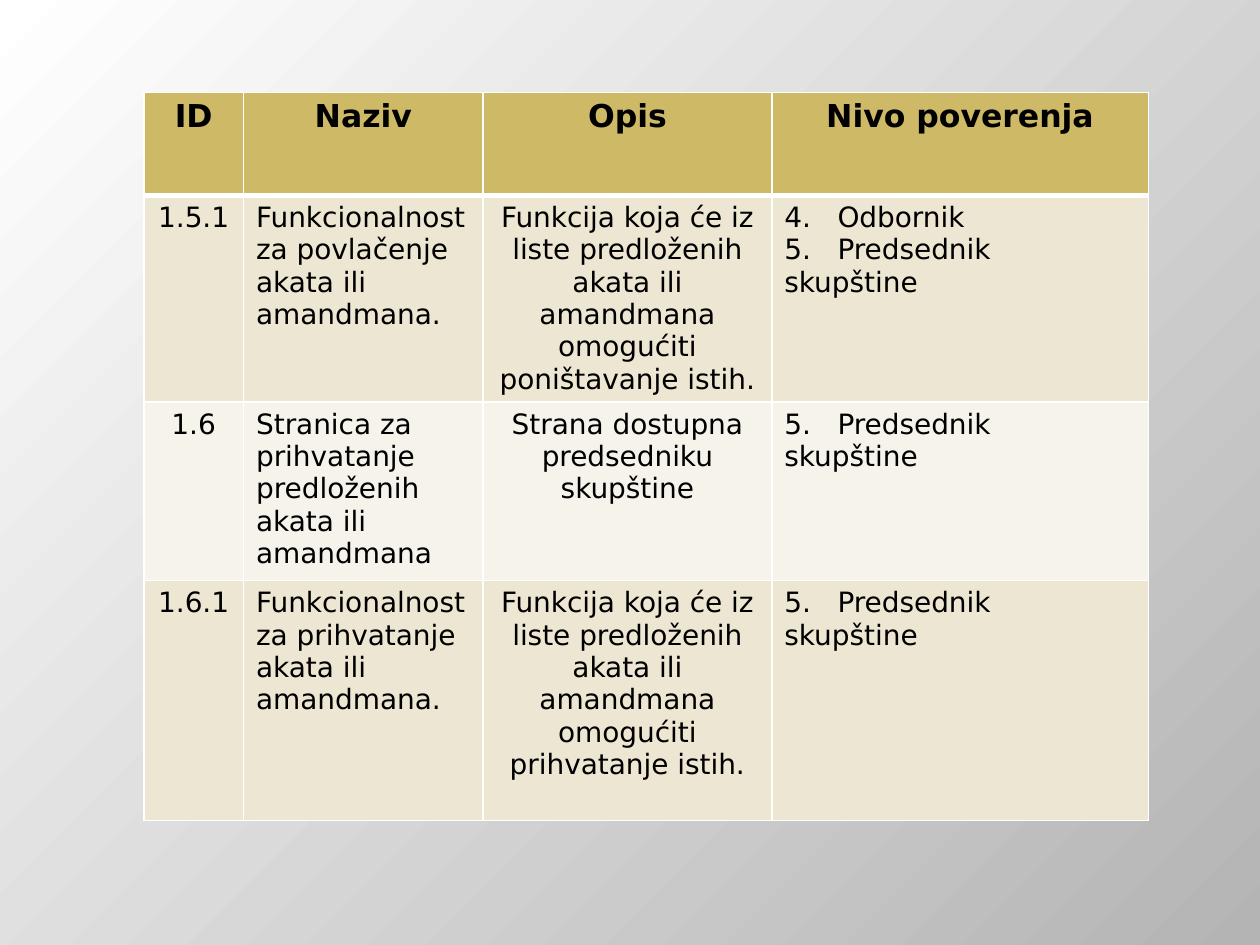
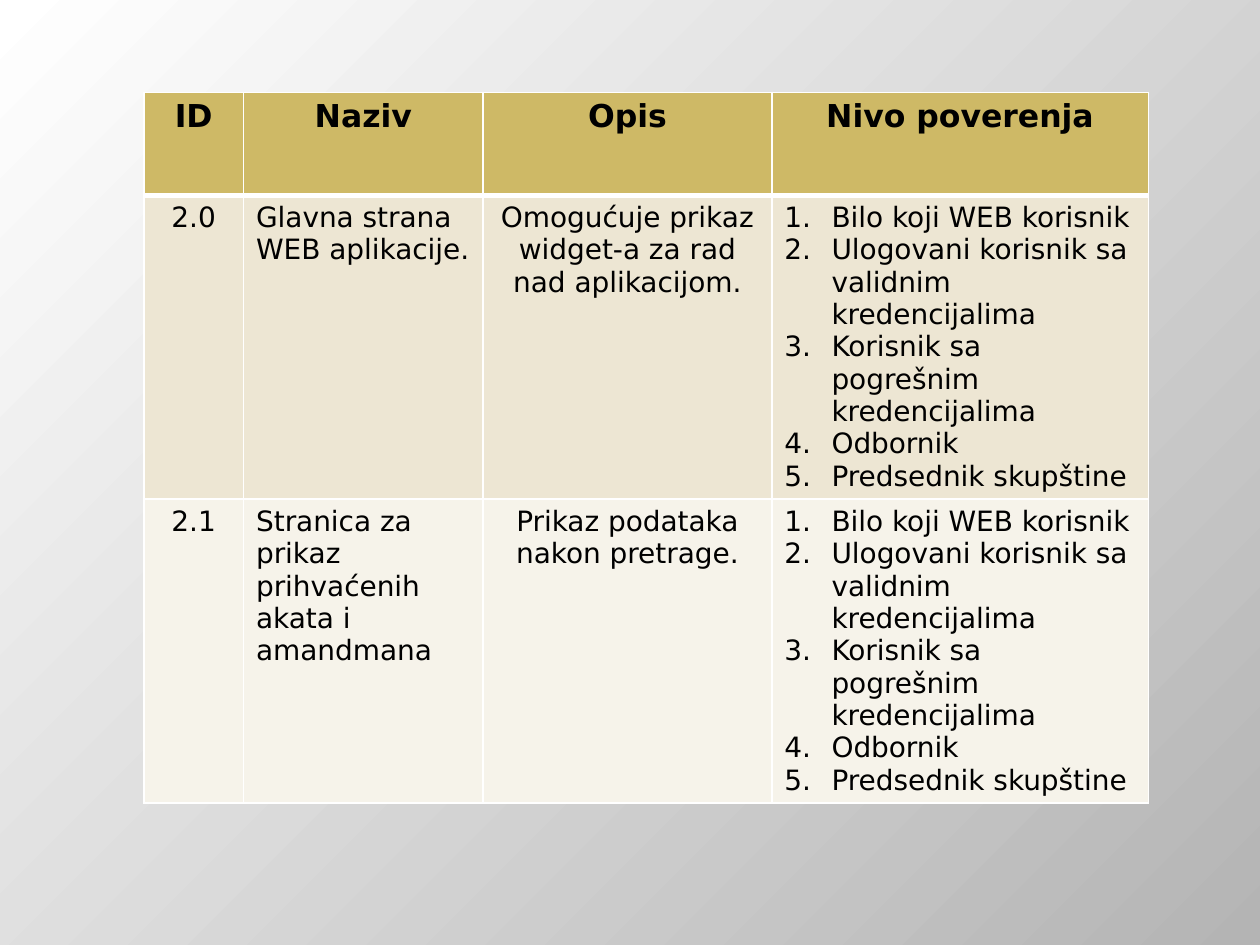
from dataclasses import dataclass

from lxml.etree import SubElement
from pptx import Presentation
from pptx.dml.color import RGBColor
from pptx.enum.text import PP_ALIGN
from pptx.oxml import parse_xml
from pptx.oxml.ns import nsdecls, qn
from pptx.util import Cm, Pt


@dataclass(frozen=True)
class Theme:
    font: str = "DejaVu Sans"
    header_size: int = 18
    body_size: int = 16
    text: str = "000000"
    header_fill: str = "CEB966"
    band_fills: tuple = ("EDE6D3", "F6F3EA")
    border: str = "FFFFFF"
    background: tuple = ("FFFFFF", "B4B4B4")


THEME = Theme()
HEADERS = ("ID", "Naziv", "Opis", "Nivo poverenja")
COLUMN_WIDTHS = (2.01, 4.83, 5.82, 7.59)
ALIGNMENTS = (PP_ALIGN.CENTER, PP_ALIGN.LEFT, PP_ALIGN.CENTER, PP_ALIGN.LEFT)
TABLE_LEFT, TABLE_TOP = 2.9, 1.86
HEADER_HEIGHT = 2.08
TRUST_COLUMN = 3
LIST_INDENT = Cm(0.95)
TAB_STOP = Cm(1.07)

PRESIDENT = "5.\tPredsednik\vskupštine"
ALL_USERS = "\n".join((
    "Bilo koji WEB korisnik",
    "Ulogovani korisnik sa validnim kredencijalima",
    "Korisnik sa pogrešnim kredencijalima",
    "Odbornik",
    "Predsednik skupštine",
))

# Each table: row heights in cm, then the body rows.
TABLES = (
    ((4.15, 3.6, 4.83), (
        ("1.5.1", "Funkcionalnost za povlačenje akata ili amandmana.",
         "Funkcija koja će iz liste predloženih akata ili amandmana "
         "omogućiti poništavanje istih.",
         "4.\tOdbornik\n" + PRESIDENT),
        ("1.6", "Stranica za prihvatanje predloženih akata ili amandmana",
         "Strana dostupna predsedniku skupštine", PRESIDENT),
        ("1.6.1", "Funkcionalnost za prihvatanje akata ili amandmana.",
         "Funkcija koja će iz liste predloženih akata ili amandmana "
         "omogućiti prihvatanje istih.", PRESIDENT),
    )),
    ((6.11, 6.12), (
        ("2.0", "Glavna strana WEB aplikacije.",
         "Omogućuje prikaz widget-a za rad nad aplikacijom.", ALL_USERS),
        ("2.1", "Stranica za prikaz prihvaćenih akata i amandmana",
         "Prikaz podataka nakon pretrage.", ALL_USERS),
    )),
)


def style_cell(cell, fill, top, bottom):
    """Draw the borders (top and bottom widths in points), then fill the cell."""
    properties = cell._tc.get_or_add_tcPr()
    for side, width in (("L", 1), ("R", 1), ("T", top), ("B", bottom)):
        properties.append(parse_xml(
            f'<a:ln{side} {nsdecls("a")} w="{Pt(width)}"><a:solidFill>'
            f'<a:srgbClr val="{THEME.border}"/></a:solidFill></a:ln{side}>'))
    cell.fill.solid()
    cell.fill.fore_color.rgb = RGBColor.from_string(fill)


def format_trust_level(paragraph):
    """Number the paragraph, or set a tab stop where its number is typed."""
    properties = paragraph._p.get_or_add_pPr()
    if "\t" in paragraph.text:
        tabs = SubElement(properties, qn("a:tabLst"))
        SubElement(tabs, qn("a:tab"), pos=str(TAB_STOP), algn="l")
    else:
        properties.set("marL", str(LIST_INDENT))
        properties.set("indent", str(-LIST_INDENT))
        SubElement(properties, qn("a:buFont"), typeface="+mj-lt")
        SubElement(properties, qn("a:buAutoNum"), type="arabicPeriod")


presentation = Presentation()
presentation.slide_width, presentation.slide_height = Cm(25.4), Cm(19.05)

# Shared background: a gradient that spreads from the top left corner
master = presentation.slide_master
background = master.background.fill
background.gradient()
for stop, color in zip(background.gradient_stops, THEME.background):
    stop.color.rgb = RGBColor.from_string(color)
direction = master.element.find(".//" + qn("a:lin"))
direction.getparent().replace(direction, parse_xml(
    f'<a:path {nsdecls("a")} path="circle">'
    '<a:fillToRect r="100000" b="100000"/></a:path>'))

for body_heights, body_rows in TABLES:
    slide = presentation.slides.add_slide(presentation.slide_layouts[6])
    heights = (HEADER_HEIGHT, *body_heights)
    rows = (HEADERS, *body_rows)
    table = slide.shapes.add_table(
        len(rows), len(HEADERS), Cm(TABLE_LEFT), Cm(TABLE_TOP),
        Cm(sum(COLUMN_WIDTHS)), Cm(sum(heights))).table
    table.horz_banding = False
    for column, width in zip(table.columns, COLUMN_WIDTHS):
        column.width = Cm(width)

    for row_index, (height, texts) in enumerate(zip(heights, rows)):
        table.rows[row_index].height = Cm(height)
        is_header = row_index == 0
        fill = THEME.header_fill if is_header else THEME.band_fills[(row_index - 1) % 2]
        for column_index, text in enumerate(texts):
            cell = table.cell(row_index, column_index)
            style_cell(cell, fill, top=3 if row_index == 1 else 1,
                       bottom=3 if is_header else 1)
            cell.text = text
            for paragraph in cell.text_frame.paragraphs:
                paragraph.alignment = PP_ALIGN.CENTER if is_header else ALIGNMENTS[column_index]
                if column_index == TRUST_COLUMN and not is_header:
                    format_trust_level(paragraph)
                paragraph.font.name = THEME.font
                paragraph.font.size = Pt(THEME.header_size if is_header else THEME.body_size)
                paragraph.font.bold = is_header
                paragraph.font.color.rgb = RGBColor.from_string(THEME.text)

presentation.save("out.pptx")
